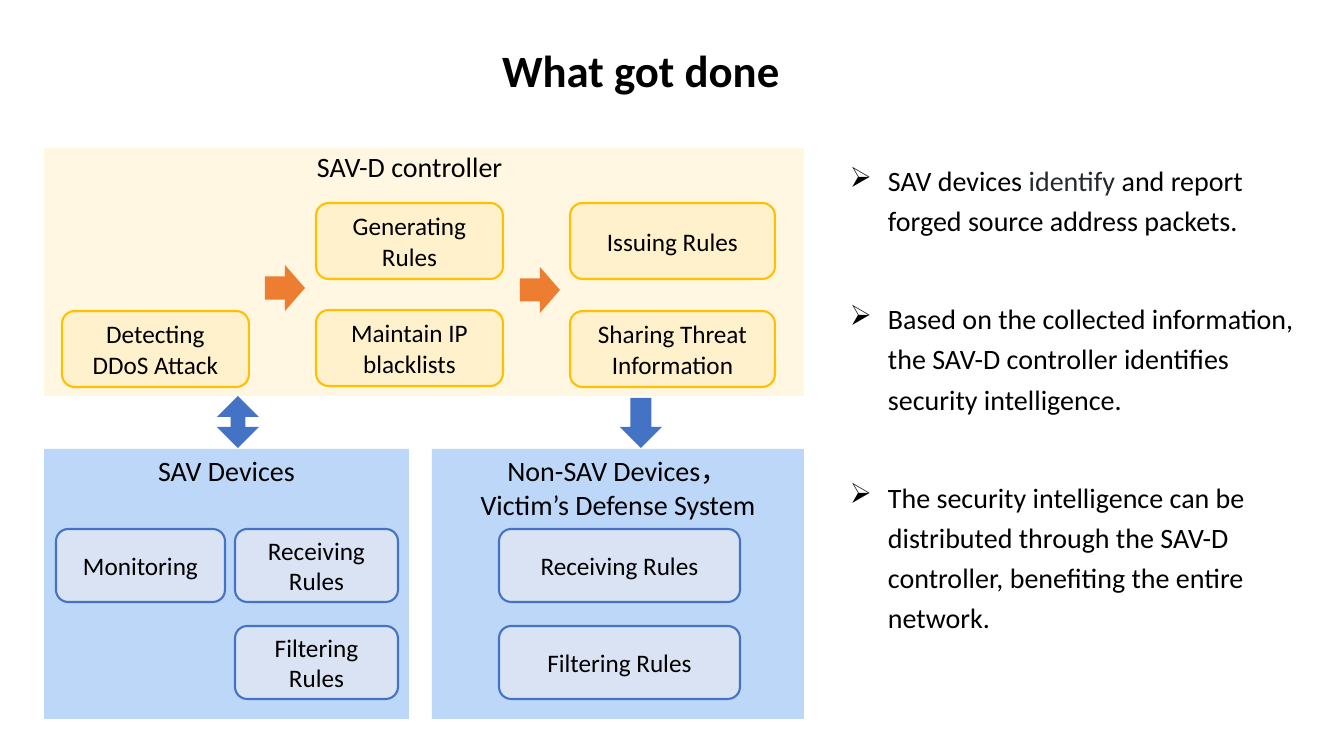
from dataclasses import dataclass

from lxml import etree
from pptx import Presentation
from pptx.dml.color import RGBColor
from pptx.enum.shapes import MSO_SHAPE
from pptx.enum.text import MSO_ANCHOR, MSO_AUTO_SIZE, PP_ALIGN
from pptx.oxml.ns import qn
from pptx.util import Pt

RECT, ROUND = MSO_SHAPE.RECTANGLE, MSO_SHAPE.ROUNDED_RECTANGLE
RIGHT, DOWN, UP_DOWN = (MSO_SHAPE.RIGHT_ARROW, MSO_SHAPE.DOWN_ARROW,
                        MSO_SHAPE.UP_DOWN_ARROW)
TOP, MIDDLE = MSO_ANCHOR.TOP, MSO_ANCHOR.MIDDLE
LEFT, CENTER = PP_ALIGN.LEFT, PP_ALIGN.CENTER
NO_FIT = MSO_AUTO_SIZE.NONE
EMU_PER_PX = 914400 / 100.8
TITLE_ONLY = 5


@dataclass(frozen=True)
class Theme:
    font: str = "Calibri"
    title: int = 32
    body: int = 20
    label: int = 18
    text: str = "000000"
    soft_text: str = "24292F"
    cream: str = "FFF7E2"
    yellow: str = "FFF1CC"
    gold: str = "FFC000"
    sky: str = "9BC2F7"
    pale_blue: str = "DAE3F3"
    blue: str = "4472C4"
    orange: str = "ED7D31"
    panel_opacity: int = 65


THEME = Theme()


def px(*lengths):
    return [round(n * EMU_PER_PX) for n in lengths]


def rgb(value):
    return RGBColor.from_string(value)


def format_run(r, size, color=THEME.text, bold=False):
    r.font.name = THEME.font
    r.font.size = Pt(size)
    r.font.bold = bold
    r.font.color.rgb = rgb(color)


def write(tf, text, size, align, anchor, bold=False):
    tf.text = text
    tf.word_wrap = True
    tf.auto_size = NO_FIT
    tf.vertical_anchor = anchor
    for p in tf.paragraphs:
        p.alignment = align
        for r in p.runs:
            format_run(r, size, bold=bold)


def add_title(s, text, box):
    title = s.shapes.title
    title.left, title.top, title.width, title.height = px(*box)
    write(title.text_frame, text, THEME.title, LEFT, TOP, bold=True)


def add_block(s, kind, box, fill, line=None):
    sp = s.shapes.add_shape(kind, *px(*box))
    sp.shadow.inherit = False
    sp.fill.solid()
    sp.fill.fore_color.rgb = rgb(fill)
    if line:
        sp.line.color.rgb = rgb(line)
        sp.line.width = Pt(1.5)
    else:
        sp.line.fill.background()
    return sp


def add_step(s, text, box, fill, line):
    sp = add_block(s, ROUND, box, fill, line)
    write(sp.text_frame, text, THEME.label, CENTER, MIDDLE)


def add_device_panel(s, heading, box):
    sp = add_block(s, RECT, box, THEME.sky)
    color = sp.fill._xPr.find(".//" + qn("a:srgbClr"))
    etree.SubElement(color, qn("a:alpha"), val=str(THEME.panel_opacity * 1000))
    write(sp.text_frame, heading, THEME.body, CENTER, TOP)


def add_heading(s, text, box):
    sp = s.shapes.add_textbox(*px(*box))
    write(sp.text_frame, text, THEME.body, LEFT, TOP)


def add_bullets(s, items, box):
    tf = s.shapes.add_textbox(*px(*box)).text_frame
    tf.word_wrap = True
    for i, runs in enumerate(items):
        p = tf.paragraphs[0] if i == 0 else tf.add_paragraph()
        p.line_spacing = 1.2
        p.space_before = Pt(41 if i else 6)
        for text, color in runs:
            r = p.add_run()
            r.text = text
            format_run(r, THEME.body, color)
        # Hanging indent and arrow bullet
        indent, = px(38)
        pPr = p._p.get_or_add_pPr()
        pPr.set("marL", str(indent))
        pPr.set("indent", str(-indent))
        etree.SubElement(pPr, qn("a:buChar"), char="➢")


def main():
    prs = Presentation()
    prs.slide_width, prs.slide_height = px(1344, 756)
    s = prs.slides.add_slide(prs.slide_layouts[TITLE_ONLY])
    add_title(s, "What got done", (492, 38, 408, 65))

    # Controller panel and its steps
    add_block(s, RECT, (44, 148, 760, 248), THEME.cream)
    add_heading(s, "SAV-D controller", (307, 145, 262, 44))
    for text, x, y, w in (("Detecting DDoS Attack", 62, 311, 187),
                          ("Generating Rules", 316, 203, 187),
                          ("Maintain IP blacklists", 316, 310, 187),
                          ("Issuing Rules", 570, 203, 205),
                          ("Sharing Threat Information", 570, 311, 205)):
        add_step(s, text, (x, y, w, 76), THEME.yellow, THEME.gold)

    # Device panels and their steps
    add_device_panel(s, "SAV Devices", (44, 449, 365, 270))
    add_device_panel(s, "Non-SAV Devices，\nVictim’s Defense System",
                     (432, 449, 372, 270))
    upper, lower = 529, 626
    for text, x, y, w in (("Monitoring", 56, upper, 169),
                          ("Receiving Rules", 235, upper, 163),
                          ("Filtering Rules", 235, lower, 163),
                          ("Receiving Rules", 499, upper, 241),
                          ("Filtering Rules", 499, lower, 241)):
        add_step(s, text, (x, y, w, 73), THEME.pale_blue, THEME.blue)

    # Block arrows between steps and between panels
    for x, y in ((265, 265), (520, 267)):
        add_block(s, RIGHT, (x, y, 40, 46), THEME.orange)
    exchange = add_block(s, UP_DOWN, (217, 396, 42, 52), THEME.blue)
    exchange.adjustments[1] = 0.35
    add_block(s, DOWN, (620, 398, 42, 50), THEME.blue)

    # Key points
    add_bullets(s, (
        (("SAV devices ", THEME.text), ("identify", THEME.soft_text),
         (" and report forged source address packets.", THEME.text)),
        (("Based on the collected information, the SAV-D controller "
          "identifies security intelligence.", THEME.text),),
        (("The security intelligence can be distributed through the SAV-D "
          "controller, benefiting the entire network.", THEME.text),),
    ), (840, 152, 467, 489))

    prs.save("out.pptx")


if __name__ == "__main__":
    main()
